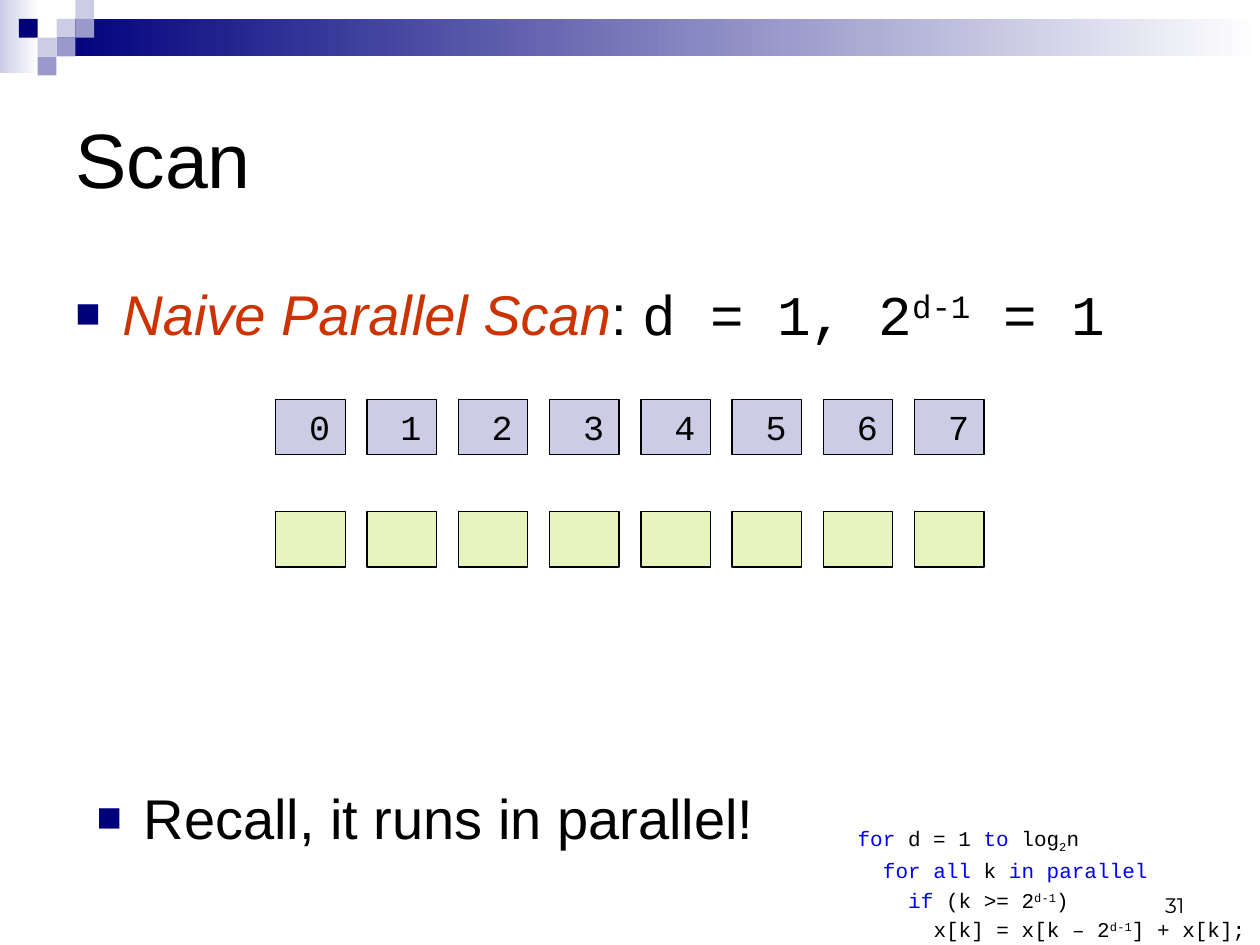
"""Build the naive parallel scan slide."""
from lxml.etree import SubElement
from pptx import Presentation
from pptx.dml.color import RGBColor
from pptx.enum.shapes import MSO_SHAPE
from pptx.enum.text import MSO_ANCHOR, PP_ALIGN
from pptx.oxml.ns import qn
from pptx.util import Cm, Pt

BLACK = RGBColor(0x00, 0x00, 0x00)
WHITE = RGBColor(0xFF, 0xFF, 0xFF)
NAVY = RGBColor(0x00, 0x00, 0x7D)
LAVENDER = RGBColor(0xCC, 0xCC, 0xE6)
VIOLET = RGBColor(0x99, 0x99, 0xCC)
LIME = RGBColor(0xE7, 0xF4, 0xBE)
RUST = RGBColor(0xCC, 0x33, 0x00)
BLUE = RGBColor(0x00, 0x00, 0xFF)
SANS, MONO, NUMBER_FONT = "Arial", "Courier New", "Montserrat"

TITLE = [("Scan", {})]
HEADING = [
    ("Naive Parallel Scan", {"color": RUST, "italic": True}),
    (": ", {}),
    ("d = 1, 2", {"font": MONO}),
    ("d-1", {"font": MONO, "baseline": 30}),
    (" = 1", {"font": MONO}),
]
RECALL = [("Recall, it runs in parallel!", {})]
KEYWORD, RAISED, LOWERED = {"color": BLUE}, {"baseline": 30}, {"baseline": -25}
CODE = [
    [("for", KEYWORD), (" d = 1 ", {}), ("to", KEYWORD), (" log", {}), ("2", LOWERED), ("n", {})],
    [("for all", KEYWORD), (" k ", {}), ("in parallel", KEYWORD)],
    [("if ", KEYWORD), ("(k >= 2", {}), ("d-1", RAISED), (")", {})],
    [("x[k] = x[k – 2", {}), ("d-1", RAISED), ("] + x[k];", {})],
]
PAGE_NUMBER = [("31", {})]

CELL_COUNT = 8
CELL_ROWS = [(8.05, LAVENDER, True), (10.31, LIME, False)]
CELL_LEFT, CELL_PITCH, CELL_WIDTH, CELL_HEIGHT = 5.56, 1.84, 1.4, 1.12
BANDS = [(0, 0, 0.79, 1.47, LAVENDER), (1.14, 0.38, 24.26, 0.76, NAVY)]
SQUARE = 0.38
SQUARES = [(3, 1, LAVENDER), (4, 0, LAVENDER), (4, 1, VIOLET), (2, 2, LAVENDER),
           (1, 1, NAVY), (3, 2, VIOLET), (2, 3, VIOLET)]
CODE_INDENT = 0.51
BULLET_INDENT = 0.95

presentation = Presentation()
presentation.slide_width, presentation.slide_height = Cm(25.4), Cm(19.05)
slide = presentation.slides.add_slide(presentation.slide_layouts[6])


def add_rectangle(left, top, width, height, color, gradient=False):
    shape = slide.shapes.add_shape(MSO_SHAPE.RECTANGLE, Cm(left), Cm(top), Cm(width), Cm(height))
    shape.shadow.inherit = False
    shape.line.fill.background()
    if gradient:
        shape.fill.gradient()
        shape.fill.gradient_angle = 0
        for stop, stop_color in zip(shape.fill.gradient_stops, (color, WHITE)):
            stop.color.rgb = stop_color
    else:
        shape.fill.solid()
        shape.fill.fore_color.rgb = color
    return shape


def fill_paragraph(paragraph, parts, font, size):
    for text, style in parts:
        run = paragraph.add_run()
        run.text = text
        run.font.name = style.get("font", font)
        run.font.size = Pt(size)
        run.font.italic = style.get("italic", False)
        run.font.color.rgb = style.get("color", BLACK)
        if "baseline" in style:
            run.font._element.set("baseline", str(style["baseline"] * 1000))


def add_text(left, top, width, height, lines, font, size, anchor=MSO_ANCHOR.TOP):
    frame = slide.shapes.add_textbox(Cm(left), Cm(top), Cm(width), Cm(height)).text_frame
    frame.word_wrap = True
    frame.vertical_anchor = anchor
    for index, parts in enumerate(lines):
        paragraph = frame.add_paragraph() if index else frame.paragraphs[0]
        fill_paragraph(paragraph, parts, font, size)
    return frame.paragraphs


def add_bullet(paragraph):
    paragraph.space_before = Pt(6.4)
    properties = paragraph._p.get_or_add_pPr()
    properties.set("marL", str(Cm(BULLET_INDENT)))
    properties.set("indent", str(-Cm(BULLET_INDENT)))
    color = SubElement(properties, qn("a:buClr"))
    SubElement(color, qn("a:srgbClr"), val=str(NAVY))
    SubElement(properties, qn("a:buSzPct"), val="75000")
    SubElement(properties, qn("a:buFont"), typeface=SANS)
    SubElement(properties, qn("a:buChar"), char="■")


for band in BANDS:
    add_rectangle(*band, gradient=True)
for column, row, color in SQUARES:
    add_rectangle(column * SQUARE, row * SQUARE, SQUARE, SQUARE, color)

add_text(1.27, 1.27, 22.86, 3.81, [TITLE], SANS, 44, MSO_ANCHOR.MIDDLE)
add_bullet(add_text(1.27, 5.51, 22.86, 10.8, [HEADING], SANS, 32)[0])

for top, color, numbered in CELL_ROWS:
    for index in range(CELL_COUNT):
        cell = add_rectangle(CELL_LEFT + index * CELL_PITCH, top, CELL_WIDTH, CELL_HEIGHT, color)
        cell.line.color.rgb = BLACK
        cell.line.width = Pt(0.75)
        if numbered:
            cell.text_frame.word_wrap = False
            cell.text_frame.vertical_anchor = MSO_ANCHOR.TOP
            label = cell.text_frame.paragraphs[0]
            label.alignment = PP_ALIGN.LEFT
            fill_paragraph(label, [(f" {index}", {})], MONO, 20)

add_bullet(add_text(1.7, 15.67, 22.86, 2.11, [RECALL], SANS, 32)[0])

for level, paragraph in enumerate(add_text(17.04, 16.51, 8.59, 2.74, CODE, MONO, 12)):
    paragraph.space_before = Pt(2.4)
    paragraph._p.get_or_add_pPr().set("marL", str(Cm(level * CODE_INDENT)))

number = add_text(18.21, 17.35, 5.92, 1.27, [PAGE_NUMBER], NUMBER_FONT, 12, MSO_ANCHOR.BOTTOM)[0]
number.alignment = PP_ALIGN.RIGHT

presentation.save("out.pptx")
